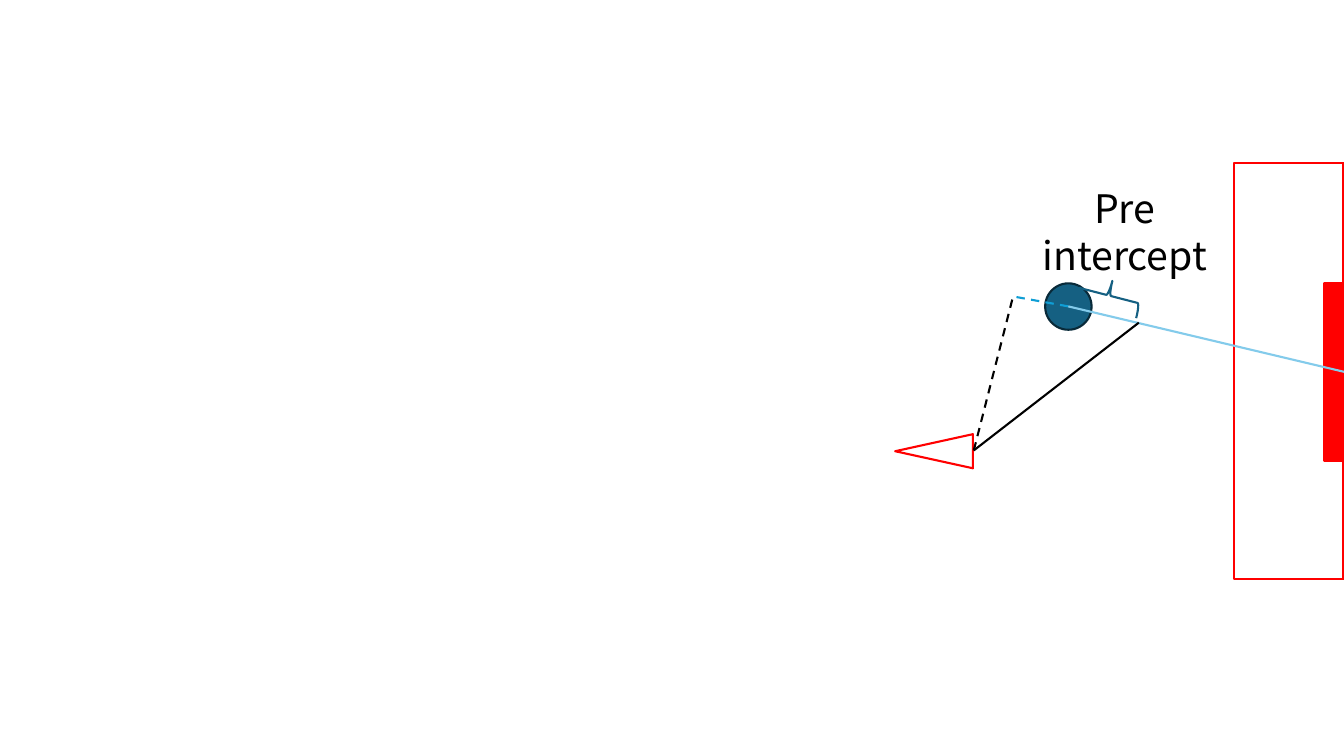
from dataclasses import dataclass
from typing import NamedTuple, Optional

from lxml import etree
from pptx import Presentation
from pptx.dml.color import RGBColor
from pptx.enum import dml, shapes, text
from pptx.oxml import ns
from pptx.slide import Slide
from pptx.util import Cm, Pt


@dataclass(frozen=True)
class Theme:
    white: str = "FFFFFF"
    black: str = "000000"
    red: str = "FF0000"
    ball: str = "156082"
    ball_edge: str = "092A39"
    shot: str = "83CBEB"
    approach: str = "0F9ED5"
    font: str = "Noto Sans CJK SC"
    label_size: float = 28
    line_width: float = 1.5


THEME = Theme()
KIND = shapes.MSO_SHAPE


class Point(NamedTuple):
    x: float
    y: float


class Outline(NamedTuple):
    kind: KIND
    left: float
    top: float
    width: float
    height: float
    line: str
    fill: Optional[str] = None
    rotation: float = 0


class Path(NamedTuple):
    start: Point
    end: Point
    color: str
    dashed: bool = False


BALL = Point(26.92, 7.72)
ROBOT = Point(24.54, 11.35)
BEHIND_BALL = Point(25.53, 7.47)
INTERCEPT = Point(28.7, 8.13)
GOAL_CENTRE = Point(33.87, 9.37)

# Listed from back to front
FIELD = [
    Outline(KIND.RECTANGLE, 31.09, 4.11, 2.77, 10.49, THEME.red, THEME.white),
    Outline(KIND.RECTANGLE, 33.38, 7.14, 0.48, 4.47, THEME.red, THEME.red),
    Outline(KIND.OVAL, 26.34, 7.14, 1.17, 1.17, THEME.ball_edge, THEME.ball),
    Path(BALL, GOAL_CENTRE, THEME.shot),
    Outline(KIND.ISOSCELES_TRIANGLE, 23.11, 10.39, 0.86, 1.96, THEME.red, rotation=270),
    Path(ROBOT, BEHIND_BALL, THEME.black, dashed=True),
    Path(BALL, BEHIND_BALL, THEME.approach, dashed=True),
    Path(ROBOT, INTERCEPT, THEME.black),
    Outline(KIND.RIGHT_BRACE, 27.56, 6.63, 0.76, 1.63, THEME.ball, rotation=284.5),
]


def draw_outline(slide: Slide, item: Outline) -> None:
    shape = slide.shapes.add_shape(
        item.kind, Cm(item.left), Cm(item.top), Cm(item.width), Cm(item.height))
    shape.rotation = item.rotation
    shape.shadow.inherit = False
    if item.fill:
        shape.fill.solid()
        shape.fill.fore_color.rgb = RGBColor.from_string(item.fill)
    else:
        shape.fill.background()
    shape.line.color.rgb = RGBColor.from_string(item.line)
    shape.line.width = Pt(THEME.line_width)


def draw_path(slide: Slide, item: Path) -> None:
    path = slide.shapes.add_connector(
        shapes.MSO_CONNECTOR.STRAIGHT,
        Cm(item.start.x), Cm(item.start.y), Cm(item.end.x), Cm(item.end.y))
    path.line.color.rgb = RGBColor.from_string(item.color)
    path.line.width = Pt(THEME.line_width)
    if item.dashed:
        path.line.dash_style = dml.MSO_LINE.DASH
    etree.SubElement(path._element.spPr, ns.qn("a:effectLst"))


def add_label(slide: Slide, words: str, *, left: float, top: float,
              width: float, height: float, size: float = THEME.label_size,
              color: str = THEME.black,
              align: text.PP_ALIGN = text.PP_ALIGN.CENTER) -> None:
    frame = slide.shapes.add_textbox(
        Cm(left), Cm(top), Cm(width), Cm(height)).text_frame
    frame.word_wrap = True
    frame.auto_size = text.MSO_AUTO_SIZE.SHAPE_TO_FIT_TEXT
    paragraph = frame.paragraphs[0]
    paragraph.alignment = align
    run = paragraph.add_run()
    run.text = words
    run.font.name = THEME.font
    run.font.size = Pt(size)
    run.font.color.rgb = RGBColor.from_string(color)


def main() -> None:
    deck = Presentation()
    deck.slide_width, deck.slide_height = Cm(33.87), Cm(19.05)
    slide = deck.slides.add_slide(deck.slide_layouts[6])
    for item in FIELD:
        if isinstance(item, Outline):
            draw_outline(slide, item)
        else:
            draw_path(slide, item)
    add_label(slide, "Pre intercept", left=25.55, top=4.52, width=5.59, height=2.64)
    deck.save("out.pptx")


if __name__ == "__main__":
    main()
